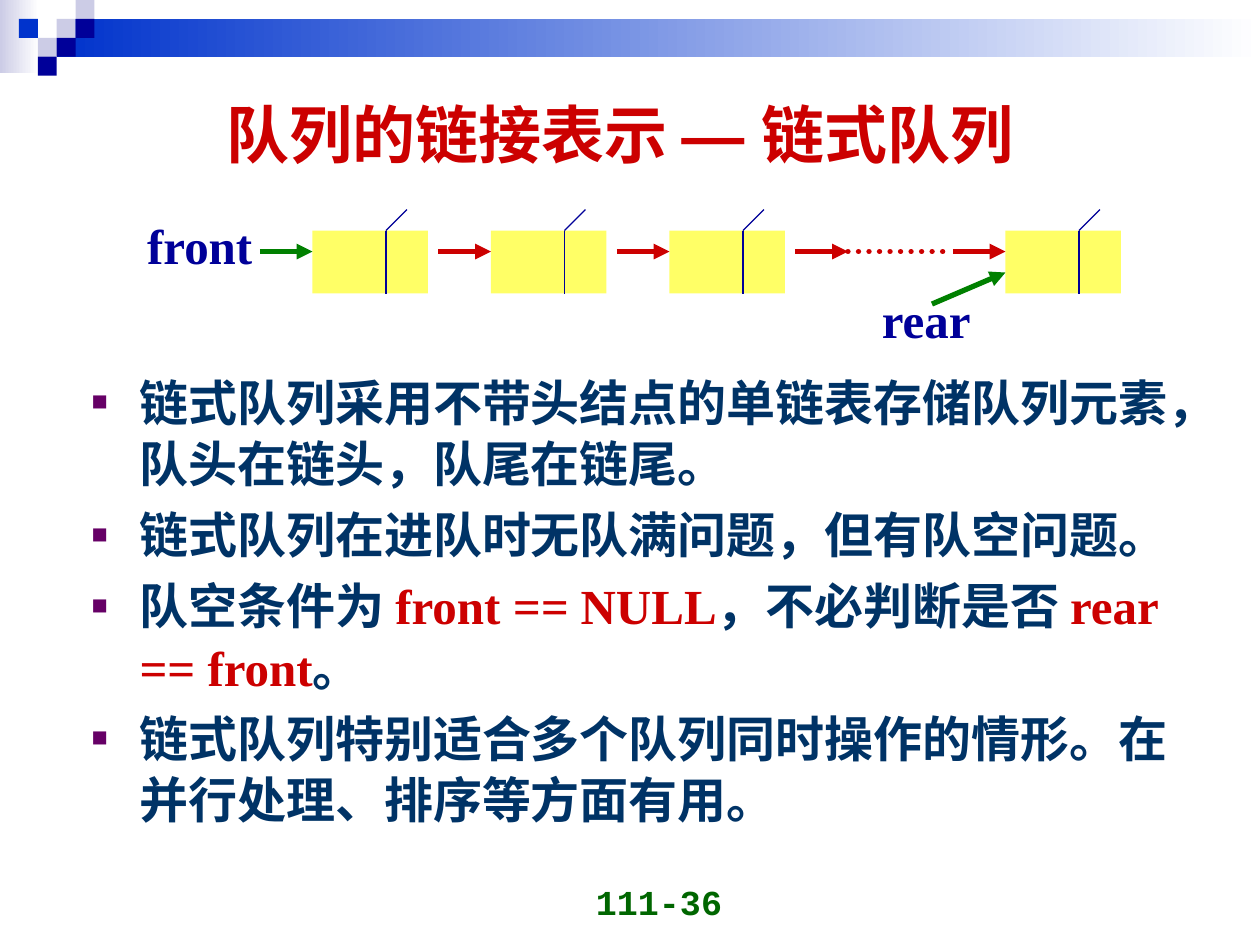
from lxml import etree
from pptx import Presentation
from pptx import util as u
from pptx.dml.color import RGBColor
from pptx.enum import dml, shapes, text
from pptx.oxml.ns import qn

COLORS = {
    "lavender": "CCCCE6", "white": "FFFFFF", "blue": "0033CC", "navy": "000099",
    "page": "006600", "red": "CC0000", "yellow": "FFFF66", "green": "008000",
    "ink": "003366", "bullet": "660066",
}
SQUARE = 0.15
STEP = 1 / 12
QUEUE_LEFT, QUEUE_TOP = 2.48, 1.83
CJK = "Noto Sans CJK SC"
SERIF = "Times New Roman"
MOSAIC = [(3, 1, "lavender"), (4, 0, "lavender"), (4, 1, "navy"), (2, 2, "lavender"),
          (1, 1, "blue"), (3, 2, "navy"), (2, 3, "navy")]
POINTS = [
    [("链式队列采用不带头结点的单链表存储队列元素，队头在链头，队尾在链尾。", "ink", False)],
    [("链式队列在进队时无队满问题，但有队空问题。", "ink", False)],
    [("队空条件为 ", "ink", False), ("front ", "red", False), ("==", "red", True),
     (" NULL", "red", False), ("，不必判断是否 ", "ink", False),
     ("rear == front", "red", False), ("。", "ink", False)],
    [("链式队列特别适合多个队列同时操作的情形。在并行处理、排序等方面有用。", "ink", False)],
]


def rgb(name):
    """Return the named colour."""
    return RGBColor.from_string(COLORS[name])


def add_block(slide, left, top, width, height, *colors):
    """Add a borderless rectangle, with a gradient when given two colours."""
    block = slide.shapes.add_shape(shapes.MSO_SHAPE.RECTANGLE,
                                   *map(u.Inches, (left, top, width, height)))
    block.shadow.inherit = False
    block.line.fill.background()
    if len(colors) == 1:
        block.fill.solid()
        block.fill.fore_color.rgb = rgb(colors[0])
        return
    block.fill.gradient()
    block.fill.gradient_angle = 0
    for stop, color, position in zip(block.fill.gradient_stops, colors, (0, 1)):
        stop.color.rgb = rgb(color)
        stop.position = position


def add_link(slide, start, end, color, width=3, arrow=False, dotted=False):
    """Draw a line between two points of the queue grid."""
    ends = [u.Inches(origin + STEP * cell) for point in (start, end)
            for origin, cell in zip((QUEUE_LEFT, QUEUE_TOP), point)]
    link = slide.shapes.add_connector(shapes.MSO_CONNECTOR.STRAIGHT, *ends)
    link.line.color.rgb = rgb(color)
    link.line.width = u.Pt(width)
    if dotted:
        link.line.dash_style = dml.MSO_LINE.ROUND_DOT
        link.line._get_or_add_ln().set("cap", "rnd")
    if arrow:
        etree.SubElement(link.line._get_or_add_ln(), qn("a:tailEnd"), type="triangle")
    etree.SubElement(link._element.spPr, qn("a:effectLst"))


def add_node(slide, column):
    """Draw a list node with its divider and pointer stroke."""
    add_block(slide, QUEUE_LEFT + STEP * column, QUEUE_TOP, 11 * STEP, 6 * STEP, "yellow")
    divider = column + 7
    add_link(slide, (divider, 0), (divider, 6), "navy", 0.75)
    add_link(slide, (divider, 0), (divider + 2, -2), "navy", 0.75)


def add_run(paragraph, words, size, color, latin, asian, italic=False):
    """Append a bold run with its Latin and East Asian fonts."""
    run = paragraph.add_run()
    run.text = words
    run.font.size = u.Pt(size)
    run.font.bold = True
    run.font.italic = italic
    run.font.color.rgb = rgb(color)
    run.font.name = latin
    etree.SubElement(run._r.get_or_add_rPr(), qn("a:ea"), typeface=asian)


def add_frame(slide, left, top, width, height, anchor=text.MSO_ANCHOR.TOP, wrap=True):
    """Add a text box and return its frame."""
    frame = slide.shapes.add_textbox(*map(u.Inches, (left, top, width, height))).text_frame
    frame.word_wrap = wrap
    frame.vertical_anchor = anchor
    return frame


def add_bullet(paragraph):
    """Give a paragraph a hanging square bullet."""
    properties = paragraph._p.get_or_add_pPr()
    properties.set("marL", str(u.Inches(0.38)))
    properties.set("indent", str(-u.Inches(0.38)))
    color = etree.SubElement(properties, qn("a:buClr"))
    etree.SubElement(color, qn("a:srgbClr"), val=COLORS["bullet"])
    etree.SubElement(properties, qn("a:buSzPct"), val="55000")
    etree.SubElement(properties, qn("a:buFont"), typeface="Arial")
    etree.SubElement(properties, qn("a:buChar"), char="■")


def add_banner(slide):
    """Draw the gradient bar and the mosaic of squares."""
    add_block(slide, 0, 0, 0.31, 0.58, "lavender", "white")
    add_block(slide, 3 * SQUARE, SQUARE, 10 - 3 * SQUARE, 2 * SQUARE, "blue", "white")
    for column, row, color in MOSAIC:
        add_block(slide, column * SQUARE, row * SQUARE, SQUARE, SQUARE, color)


def add_title(slide):
    """Write the centred title."""
    title = add_frame(slide, 0.67, 0.68, 8.5, 0.75, text.MSO_ANCHOR.MIDDLE).paragraphs[0]
    title.alignment = text.PP_ALIGN.CENTER
    for words, font in (("队列的链接表示 ", CJK), ("— ", "Arial"), ("链式队列", CJK)):
        add_run(title, words, 36, "red", font, font)


def add_queue(slide):
    """Draw the linked queue with its front and rear pointers."""
    for column in (0, 17, 34, 66):
        add_node(slide, column)
        add_link(slide, (column - 5, 2), (column, 2), "red" if column else "green", arrow=True)
    add_link(slide, (46, 2), (51, 2), "red", arrow=True)
    add_link(slide, (51, 2), (61, 2), "red", dotted=True)
    add_link(slide, (59, 7), (66, 4), "green", arrow=True)
    for pointer, left, top, width in (("front", 1.07, 1.66, 1.04), ("rear", 6.9, 2.25, 0.91)):
        label = add_frame(slide, left, top, width, 0.57, wrap=False)
        add_run(label.paragraphs[0], pointer, 28, "navy", SERIF, CJK)


def add_points(slide):
    """Write the bulleted points."""
    frame = add_frame(slide, 0.63, 2.88, 9, 4.02)
    for index, pieces in enumerate(POINTS):
        point = frame.add_paragraph() if index else frame.paragraphs[0]
        add_bullet(point)
        point.line_spacing = 1.05
        point.space_before = u.Pt(5.2 if index else 0)
        for words, color, italic in pieces:
            add_run(point, words, 28, color, SERIF, CJK, italic)


def add_page_number(slide):
    """Write the page number at the foot."""
    number = add_frame(slide, 3.5, 6.87, 2.33, 0.5, text.MSO_ANCHOR.BOTTOM).paragraphs[0]
    number.alignment = text.PP_ALIGN.RIGHT
    add_run(number, "111-36", 20, "page", "Courier New", CJK)


def main():
    """Build and save the slide."""
    deck = Presentation()
    deck.slide_width, deck.slide_height = u.Inches(10), u.Inches(7.5)
    slide = deck.slides.add_slide(deck.slide_layouts[6])
    add_banner(slide)
    add_page_number(slide)
    add_title(slide)
    add_queue(slide)
    add_points(slide)
    deck.save("out.pptx")


if __name__ == "__main__":
    main()
